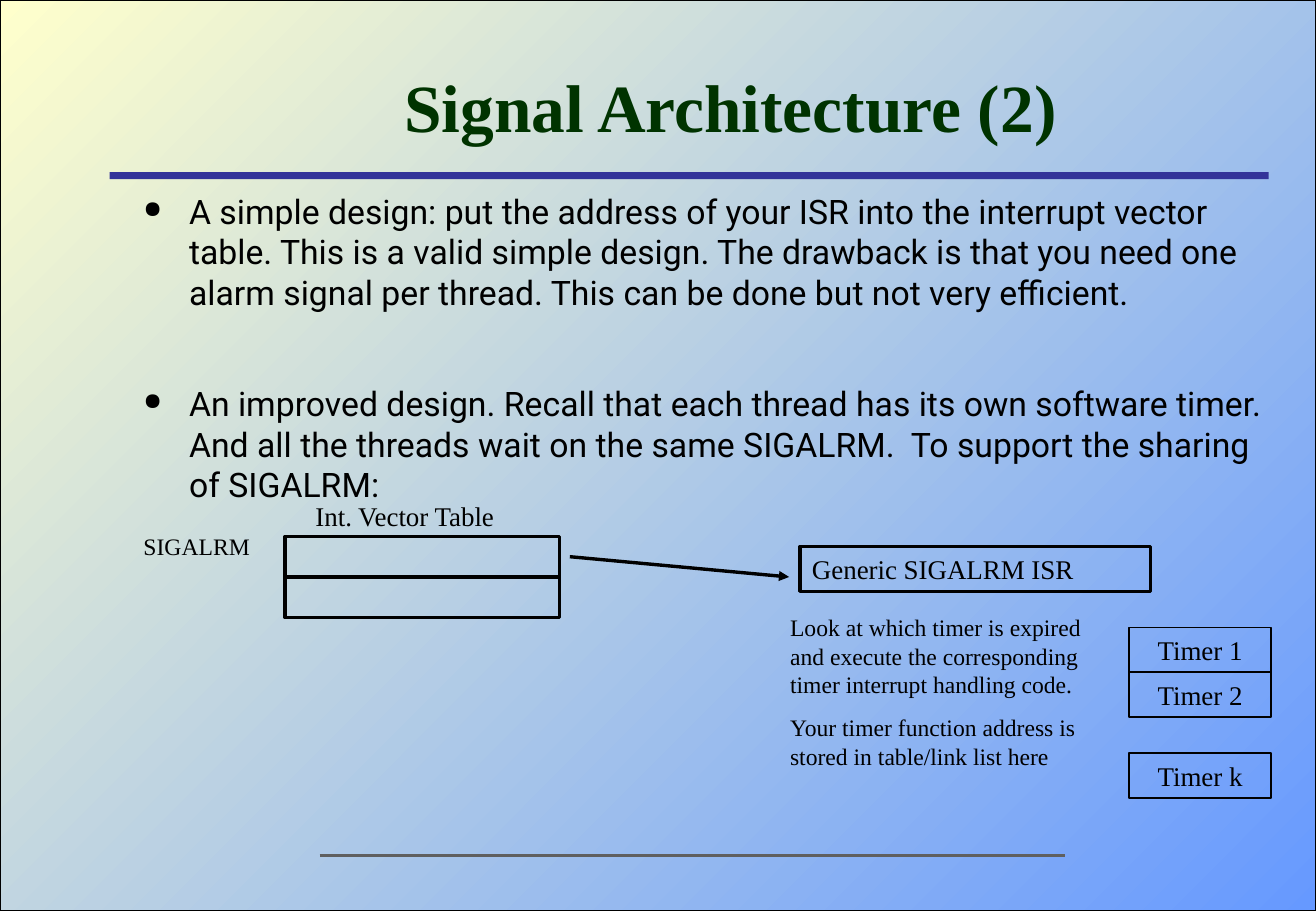
from lxml.etree import SubElement
from pptx import Presentation
from pptx.dml.color import RGBColor
from pptx.enum.shapes import MSO_CONNECTOR, MSO_SHAPE
from pptx.enum.text import MSO_ANCHOR, PP_ALIGN
from pptx.oxml.ns import qn
from pptx.util import Pt

BLACK = RGBColor(0x00, 0x00, 0x00)
DARK_GREEN = RGBColor(0x00, 0x33, 0x00)
NAVY = RGBColor(0x33, 0x33, 0x99)
GREY = RGBColor(0x5F, 0x5F, 0x5F)
SKY_BLUE = RGBColor(0x66, 0x99, 0xFF)
CREAM = RGBColor(0xFF, 0xFF, 0xCC)

SERIF = "Times New Roman"
SANS = "Roboto"

BULLETS = [
    "A simple design: put the address of your ISR into the interrupt vector "
    "table. This is a valid simple design. The drawback is that you need one "
    "alarm signal per thread. This can be done but not very efficient.",
    "An improved design. Recall that each thread has its own software timer. "
    "And all the threads wait on the same SIGALRM.  To support the sharing "
    "of SIGALRM:",
]
ISR_NOTES = [
    "Look at which timer is expired and execute the corresponding timer "
    "interrupt handling code.",
    "Your timer function address is stored in table/link list here",
]
TIMER_TOPS = {"Timer 1": 372, "Timer 2": 398.5, "Timer k": 446.5}


def add_bullet(para):
    properties = para._p.get_or_add_pPr()
    properties.set("marL", str(Pt(27)))
    properties.set("indent", str(Pt(-27)))
    colour = SubElement(properties, qn("a:buClr"))
    SubElement(colour, qn("a:srgbClr"), val=str(BLACK))
    SubElement(properties, qn("a:buSzPct"), val="70000")
    SubElement(properties, qn("a:buChar"), char="●")


def write(shape, texts, size, font=SERIF, colour=BLACK, bold=False,
          align=PP_ALIGN.LEFT, anchor=MSO_ANCHOR.TOP, gap=0, bulleted=False):
    """Fill a shape with paragraphs, gap points apart."""
    frame = shape.text_frame
    frame.word_wrap = True
    frame.vertical_anchor = anchor
    for index, text in enumerate(texts):
        para = frame.add_paragraph() if index else frame.paragraphs[0]
        para.text = text
        if bulleted:
            add_bullet(para)
        para.alignment = align
        para.space_before = Pt(gap if index else 0)
        para.font.name = font
        para.font.size = Pt(size)
        para.font.bold = bold
        para.font.color.rgb = colour


def add_text(page, left, top, width, height, texts, size, **style):
    box = page.shapes.add_textbox(Pt(left), Pt(top), Pt(width), Pt(height))
    write(box, texts, size, **style)


def add_box(page, left, top, width, height, line_width):
    """Add an unfilled rectangle, with no outline if line_width is 0."""
    box = page.shapes.add_shape(
        MSO_SHAPE.RECTANGLE, Pt(left), Pt(top), Pt(width), Pt(height))
    box.shadow.inherit = False
    box.fill.background()
    if line_width:
        box.line.color.rgb = BLACK
        box.line.width = Pt(line_width)
    else:
        box.line.fill.background()
    return box


def add_line(page, x1, y1, x2, y2, width, colour=BLACK, arrow=False):
    line = page.shapes.add_connector(
        MSO_CONNECTOR.STRAIGHT, Pt(x1), Pt(y1), Pt(x2), Pt(y2))
    line.line.color.rgb = colour
    line.line.width = Pt(width)
    if arrow:
        SubElement(line.line._get_or_add_ln(), qn("a:tailEnd"), type="triangle")
    SubElement(line._element.spPr, qn("a:effectLst"))
    return line


def add_backdrop(page):
    page.background.fill.solid()
    page.background.fill.fore_color.rgb = CREAM
    backdrop = add_box(page, 0, 0, 780, 540, 0.75)
    backdrop.fill.gradient()
    backdrop.fill.gradient_angle = 135
    for stop, colour in zip(backdrop.fill.gradient_stops, (SKY_BLUE, CREAM)):
        stop.color.rgb = colour
    title_rule = add_box(page, 65, 102, 687.5, 4.25, 0)
    title_rule.fill.solid()
    title_rule.fill.fore_color.rgb = NAVY
    add_line(page, 189.5, 507, 631.5, 507, 1.5, GREY)


def add_vector_table(page):
    table = add_box(page, 169, 318, 163, 48, 2)
    divider = add_line(page, 169, 342, 332, 342, 2)
    divider.begin_connect(table, 1)
    divider.end_connect(table, 3)
    add_text(page, 78, 312, 84, 24.5, ["SIGALRM"], 14)
    add_text(page, 180, 292.5, 143, 26.5, ["Int. Vector Table"], 16)


def add_handler(page):
    add_line(page, 338, 330, 468, 342, 2, arrow=True)
    handler = add_box(page, 474.5, 324, 208, 26.5, 2)
    write(handler, ["Generic SIGALRM ISR"], 16)
    add_text(page, 461.5, 360, 188.5, 100, ISR_NOTES, 14, gap=8.75)
    for name, top in TIMER_TOPS.items():
        timer = add_box(page, 669.5, top, 84.5, 26.5, 1)
        write(timer, [name], 16, align=PP_ALIGN.CENTER)


def main():
    deck = Presentation()
    deck.slide_width, deck.slide_height = Pt(780.48), Pt(540)
    page = deck.slides.add_slide(deck.slide_layouts[6])
    add_backdrop(page)
    add_text(page, 112.5, 24, 641.5, 77.5, ["Signal Architecture (2)"], 40,
             colour=DARK_GREEN, bold=True, align=PP_ALIGN.CENTER,
             anchor=MSO_ANCHOR.MIDDLE)
    add_text(page, 78, 109.5, 682.5, 382.5, BULLETS, 20, font=SANS,
             gap=42, bulleted=True)
    add_vector_table(page)
    add_handler(page)
    deck.save("out.pptx")


if __name__ == "__main__":
    main()
